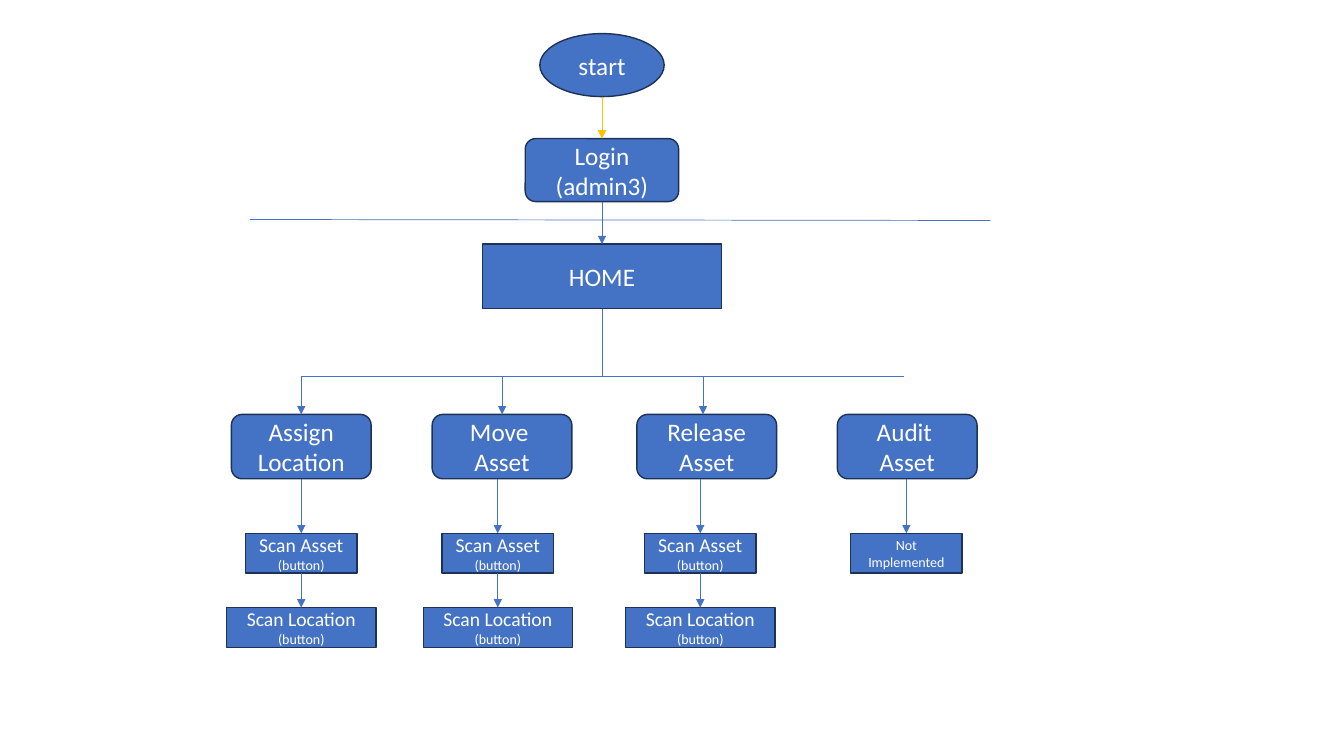
import lxml.etree
import pptx
import pptx.util
import pptx.dml.color
import pptx.enum.shapes
import pptx.enum.text
import pptx.oxml.ns

Pt = pptx.util.Pt
RGB = pptx.dml.color.RGBColor.from_string
SHAPE = pptx.enum.shapes.MSO_SHAPE
qn = pptx.oxml.ns.qn
theme = {
    "font": "Calibri", "text": "FFFFFF", "fill": "4472C4", "border": "1E3256",
    "link": "4472C4", "start_link": "FFC000",
    "step": 18, "button": 14, "note": 10, "border_width": 1, "link_width": 0.5,
}

prs = pptx.Presentation()
prs.slide_width, prs.slide_height = Pt(960), Pt(540)
s = prs.slides.add_slide(prs.slide_layouts[6])


def add_box(kind, center, top, width, height, lines):
    sp = s.shapes.add_shape(kind, Pt(center - width / 2), Pt(top), Pt(width), Pt(height))
    sp.shadow.inherit = False
    sp.fill.solid()
    sp.fill.fore_color.rgb = RGB(theme["fill"])
    sp.line.color.rgb = RGB(theme["border"])
    sp.line.width = Pt(theme["border_width"])
    tf = sp.text_frame
    tf.word_wrap = True
    tf.vertical_anchor = pptx.enum.text.MSO_ANCHOR.MIDDLE
    p = tf.paragraphs[0]
    p.alignment = pptx.enum.text.PP_ALIGN.CENTER
    for i, (text, size) in enumerate(lines):
        if i:
            p.add_line_break()
        r = p.add_run()
        r.text = text
        for name, value in {"name": theme["font"], "size": Pt(theme[size])}.items():
            setattr(r.font, name, value)
        r.font.color.rgb = RGB(theme["text"])


def add_link(x1, y1, x2, y2, arrow=True, color="link"):
    link = s.shapes.add_connector(
        pptx.enum.shapes.MSO_CONNECTOR.STRAIGHT, Pt(x1), Pt(y1), Pt(x2), Pt(y2))
    link.line.color.rgb = RGB(theme[color])
    link.line.width = Pt(theme["link_width"])
    sp_pr = link._element.find(qn("p:spPr"))
    if arrow:
        lxml.etree.SubElement(sp_pr.find(qn("a:ln")), qn("a:tailEnd"), type="triangle")
    lxml.etree.SubElement(sp_pr, qn("a:effectLst"))


trunk = 430
add_box(SHAPE.OVAL, trunk, 24, 88.8, 45, [("start", "step")])
add_box(SHAPE.ROUNDED_RECTANGLE, trunk, 99, 109.6, 45, [("Login", "step"), ("(admin3)", "step")])
add_box(SHAPE.RECTANGLE, trunk, 174.4, 170.8, 46, [("HOME", "step")])
add_link(trunk, 69, trunk, 99, color="start_link")
add_link(trunk, 144, trunk, 157, arrow=False)
add_link(178.5, 156.8, 707.5, 157.5, arrow=False)
add_link(trunk, 157, trunk, 174.4)

bus_y, menu_y, menu_h = 268.6, 296, 46
scan_y, location_y, button_h = 381, 434, 28.4
bus_left, bus_step = 215.2, 143.5
add_link(trunk, 220.4, trunk, bus_y, arrow=False)
add_link(bus_left, bus_y, bus_left + 3 * bus_step, bus_y, arrow=False)

branches = [
    (["Assign Location"], 215.2, 215.2, True),
    (["Move ", "Asset"], 358.6, 355.6, True),
    (["Release Asset"], 504.8, 500.2, True),
    (["Audit ", "Asset"], 648, 647.4, False),
]
for i, (title, menu_x, button_x, implemented) in enumerate(branches):
    add_box(SHAPE.ROUNDED_RECTANGLE, menu_x, menu_y, 99.8, menu_h,
            [(line, "step") for line in title])
    add_link(button_x, menu_y + menu_h, button_x, scan_y)
    if not implemented:
        add_box(SHAPE.RECTANGLE, button_x, scan_y, 79.6, button_h, [("Not Implemented", "note")])
        continue
    drop_x = bus_left + i * bus_step
    add_link(drop_x, bus_y, drop_x, menu_y)
    for label, top, width in [("Scan Asset", scan_y, 79.6), ("Scan Location", location_y, 106.6)]:
        add_box(SHAPE.RECTANGLE, button_x, top, width, button_h,
                [(label, "button"), ("(button)", "note")])
    add_link(button_x, scan_y + button_h, button_x, location_y)

prs.save("out.pptx")
